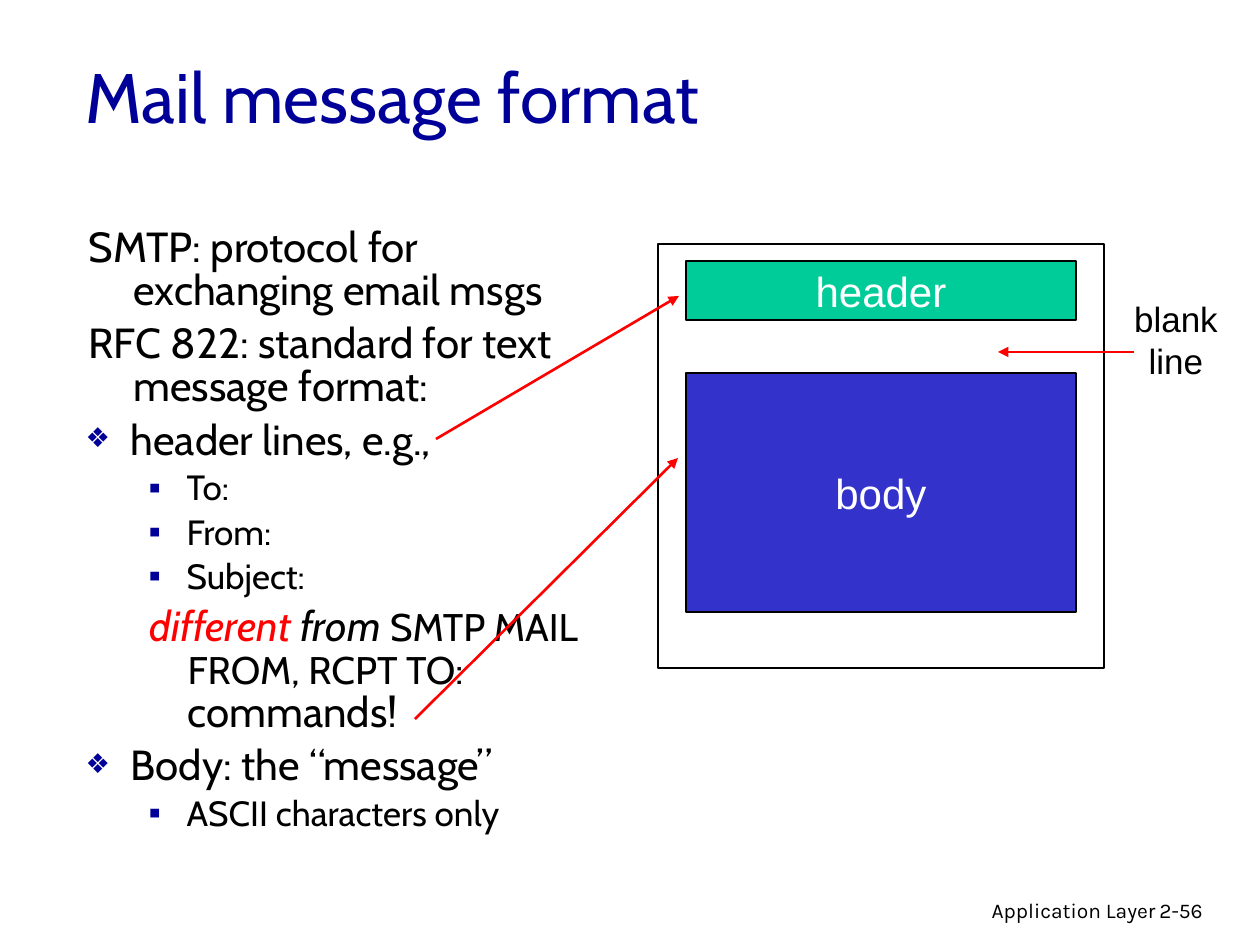
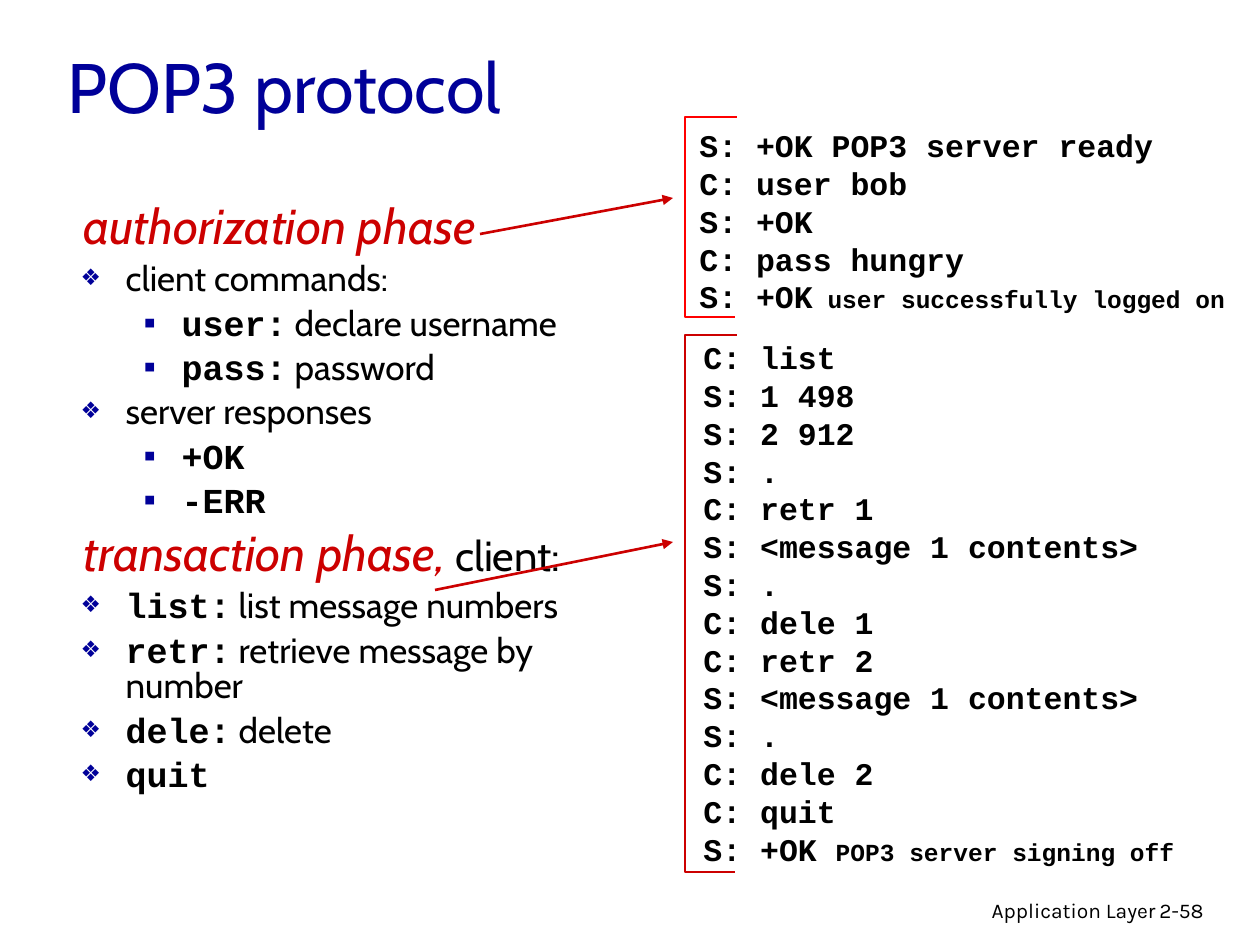
from lxml.etree import SubElement
from pptx import Presentation
from pptx.dml.color import RGBColor
from pptx.enum.shapes import MSO_CONNECTOR, MSO_SHAPE
from pptx.enum.text import MSO_ANCHOR, MSO_AUTO_SIZE, PP_ALIGN
from pptx.oxml.ns import qn
from pptx.util import Emu, Pt

HUES = {
    "navy": "000099", "black": "000000", "white": "FFFFFF", "red": "FF0000",
    "brick": "CC0000", "green": "00CC99", "blue": "3333CC",
}
# Look: font, colour, bold, italic
LOOKS = {
    "plain": ("Cabin", "black", False, False),
    "slant": ("Cabin", "black", False, True),
    "alert": ("Cabin", "red", False, True),
    "phase": ("Cabin", "brick", False, True),
    "title": ("Cabin", "navy", False, False),
    "code": ("Courier New", "black", True, False),
    "foot": ("Karla", "black", False, False),
    "label": ("Arial", "black", False, False),
    "block": ("Arial", "white", False, False),
}
# Kind: level, left margin, indent, bullet, bullet size in percent
KINDS = {
    "lead": (0, 48, -45, None, None),
    "item": (0, 45, -45, "❖", 65),
    "sub": (1, 101, -38, "▪", 100),
    "note": (1, 102, -38, None, None),
}

# Each line: kind, space before, runs of (text, size, look)
MAIL = [
    ("lead", 0, [("SMTP: protocol for exchanging email msgs", 24, "plain")]),
    ("lead", 6, [("RFC 822: standard for text message format:", 24, "plain")]),
    ("item", 6, [("header lines, e.g.,", 24, "plain")]),
    ("sub", 5, [("To:", 20, "plain")]),
    ("sub", 5, [("From:", 20, "plain")]),
    ("sub", 5, [("Subject:", 20, "plain")]),
    ("note", 6, [("different ", 24, "alert"), ("from ", 24, "slant"),
                 ("SMTP MAIL FROM, RCPT TO:", 22, "plain"),
                 (" commands!", 24, "plain")]),
    ("item", 6, [("Body: the “message”", 24, "plain")]),
    ("sub", 5, [("ASCII characters only", 20, "plain")]),
]
POP = [
    ("lead", 0, [("authorization phase", 28, "phase")]),
    ("item", 5, [("client commands:", 20, "plain")]),
    ("sub", 5, [("user:", 20, "code"), (" declare username", 20, "plain")]),
    ("sub", 5, [("pass:", 20, "code"), (" password", 20, "plain")]),
    ("item", 5, [("server responses", 20, "plain")]),
    ("sub", 5, [("+OK", 20, "code")]),
    ("sub", 5, [("-ERR", 20, "code")]),
    ("lead", 6, [("transaction phase,", 28, "phase"), (" client:", 24, "plain")]),
    ("item", 5, [("list:", 20, "code"), (" list message numbers", 20, "plain")]),
    ("item", 5, [("retr:", 20, "code"),
                 (" retrieve message by number", 20, "plain")]),
    ("item", 5, [("dele:", 20, "code"), (" delete", 20, "plain")]),
    ("item", 5, [("quit", 20, "code")]),
]
LOGIN = ["S: +OK POP3 server ready", "C: user bob", "S: +OK", "C: pass hungry",
         "S: +OK"]
FETCH = ["C: list", "S: 1 498", "S: 2 912", "S: .", "C: retr 1",
         "S: <message 1 contents>", "S: .", "C: dele 1", "C: retr 2",
         "S: <message 1 contents>", "S: .", "C: dele 2", "C: quit", "S: +OK "]


def px(n):
    return Emu(round(n * 914400 / 126))


def hue(name):
    return RGBColor.from_string(HUES[name])


def style(run, size, look):
    font = run.font
    font.size = Pt(size)
    font.name, shade, font.bold, font.italic = LOOKS[look]
    font.color.rgb = hue(shade)


def dress(frame, size, look, align):
    for para in frame.paragraphs:
        para.alignment = align
        for run in para.runs:
            style(run, size, look)


def place(shape, box):
    shape.left, shape.top, shape.width, shape.height = map(px, box)
    shape.text_frame.auto_size = MSO_AUTO_SIZE.NONE


def label(slide, box, text, size, look, align=PP_ALIGN.LEFT):
    frame = slide.shapes.add_textbox(*map(px, box)).text_frame
    frame.word_wrap = True
    frame.text = text
    dress(frame, size, look, align)
    return frame


def arrow(slide, start, end, shade):
    line = slide.shapes.add_connector(
        MSO_CONNECTOR.STRAIGHT, *map(px, start + end))
    line.line.color.rgb = hue(shade)
    line.line.width = Pt(1.5)
    SubElement(line.line._get_or_add_ln(), qn("a:tailEnd"), type="triangle")
    SubElement(line._element.spPr, qn("a:effectLst"))


def rect(slide, box, width, fill=None, text=""):
    shape = slide.shapes.add_shape(MSO_SHAPE.RECTANGLE, *map(px, box))
    shape.shadow.inherit = False
    shape.line.color.rgb = hue("black")
    shape.line.width = Pt(width)
    if fill:
        shape.fill.solid()
        shape.fill.fore_color.rgb = hue(fill)
        shape.text_frame.text = text
        dress(shape.text_frame, 24, "block", PP_ALIGN.CENTER)
    else:
        shape.fill.background()


def bullet(para, kind):
    level, left, indent, mark, size = KINDS[kind]
    para.level = level
    props = para._p.get_or_add_pPr()
    props.set("marL", str(px(left)))
    props.set("indent", str(px(indent)))
    if mark:
        shade = SubElement(props, qn("a:buClr"))
        SubElement(shade, qn("a:srgbClr"), val=HUES["navy"])
        SubElement(props, qn("a:buSzPct"), val=str(size * 1000))
        SubElement(props, qn("a:buChar"), char=mark)
    else:
        SubElement(props, qn("a:buNone"))


def outline(shape, box, lines):
    place(shape, box)
    frame = shape.text_frame
    for i, (kind, space, runs) in enumerate(lines):
        para = frame.add_paragraph() if i else frame.paragraphs[0]
        bullet(para, kind)
        para.line_spacing = 0.85
        para.space_before = Pt(space)
        for text, size, look in runs:
            run = para.add_run()
            run.text = text
            style(run, size, look)


def page(deck, title, box, number):
    slide = deck.slides.add_slide(deck.slide_layouts[1])
    head = slide.shapes.title
    place(head, box)
    head.text_frame.text = title
    head.text_frame.vertical_anchor = MSO_ANCHOR.MIDDLE
    dress(head.text_frame, 40, "title", PP_ALIGN.LEFT)
    # Footer
    label(slide, (769, 891, 399, 39), "Application Layer", 12, "foot",
          PP_ALIGN.RIGHT)
    label(slide, (1147, 891, 93, 38), number, 12, "foot")
    return slide


def letter(slide, box):
    """Message frame with its header, blank line and body."""
    x, y, w, h = box
    inner = w - 2 * 28
    rect(slide, (x + 28, y + 17, inner, 59), 0.75, "green", "header")
    rect(slide, (x + 28, y + 129, inner, 239), 0.75, "blue", "body")
    rect(slide, box, 1)
    arrow(slide, (x - 222, y + 195), (x + 21, y + 52), "red")
    arrow(slide, (x - 243, y + 475), (x + 20, y + 214), "red")
    label(slide, (x + w + 8, y + 47, 128, 97), "blank\nline", 20, "label",
          PP_ALIGN.CENTER)
    arrow(slide, (x + w + 30, y + 108), (x + w - 106, y + 108), "red")


def talk(slide, box, lines, tail, shade, inset):
    """Dialogue beside a square bracket; the tail ends its last line."""
    x, y, w, h = box
    dx, dy = inset
    frame = label(slide, (x + dx, y + dy, w - dx, h - dy), "\n".join(lines),
                  18, "code")
    for para in frame.paragraphs:
        para.line_spacing = Pt(21.6)
    run = frame.paragraphs[-1].add_run()
    run.text = tail
    style(run, 14, "code")
    # Bracket
    path = slide.shapes.build_freeform(px(x + 52), px(y), scale=1.0)
    path.add_line_segments(
        [(px(x), px(y)), (px(x), px(y + h)), (px(x + 50), px(y + h))],
        close=False)
    edge = path.convert_to_shape()
    edge.shadow.inherit = False
    edge.fill.background()
    edge.line.color.rgb = hue(shade)
    edge.line.width = Pt(1.5)


def mail(deck):
    slide = page(deck, "Mail message format", (73, 16, 1071, 158), "2-56")
    outline(slide.placeholders[1], (73, 222, 525, 640), MAIL)
    letter(slide, (658, 244, 446, 424))


def pop(deck):
    slide = page(deck, "POP3 protocol", (55, 18, 1071, 134), "2-58")
    outline(slide.placeholders[1], (68, 198, 547, 640), POP)
    talk(slide, (685, 117, 565, 200), LOGIN, " user successfully logged on",
         "red", (2, 3))
    arrow(slide, (480, 234), (673, 198), "brick")
    talk(slide, (685, 335, 565, 537), FETCH, "POP3 server signing off",
         "brick", (6, -3))
    arrow(slide, (435, 590), (673, 542), "brick")


def main():
    deck = Presentation()
    deck.slide_width, deck.slide_height = px(1260), px(945)
    mail(deck)
    pop(deck)
    deck.save("out.pptx")


if __name__ == "__main__":
    main()
